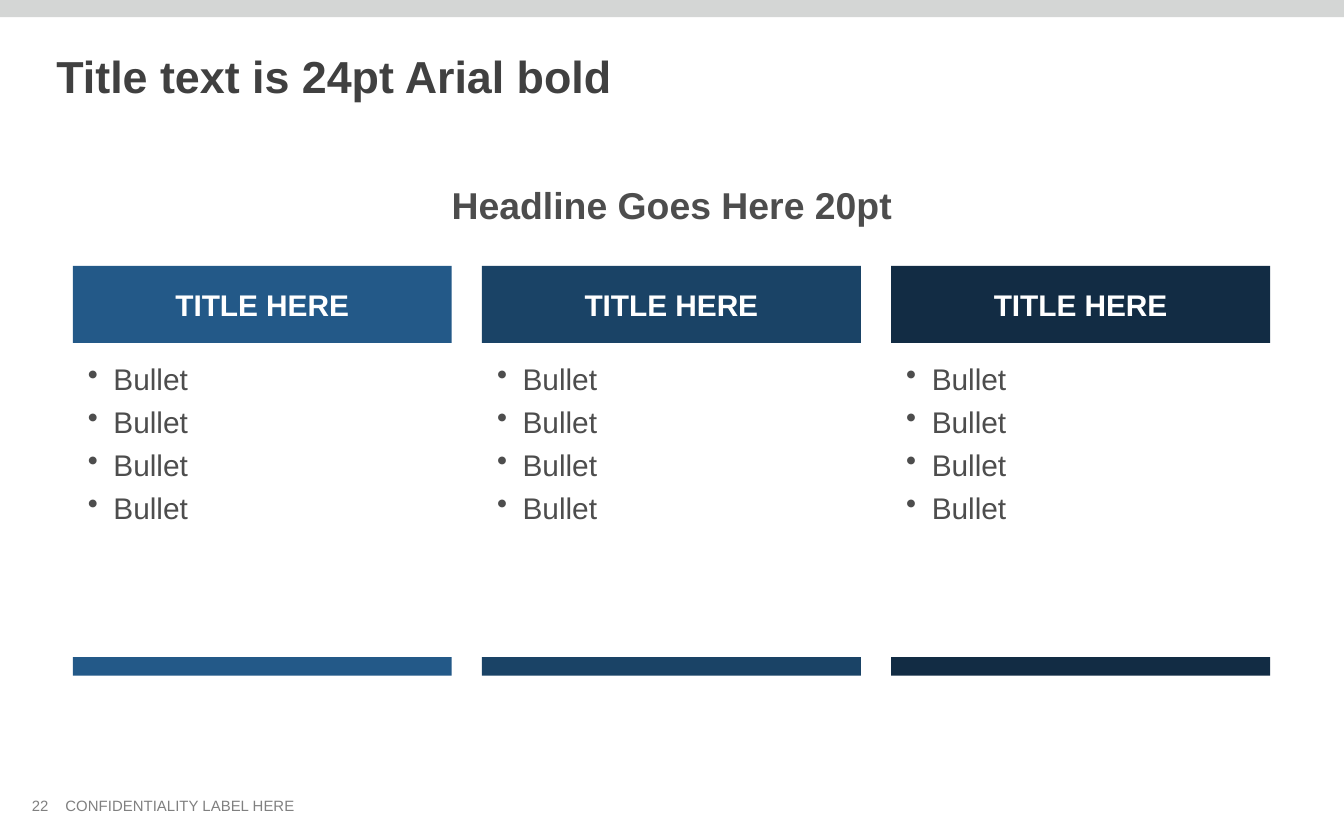
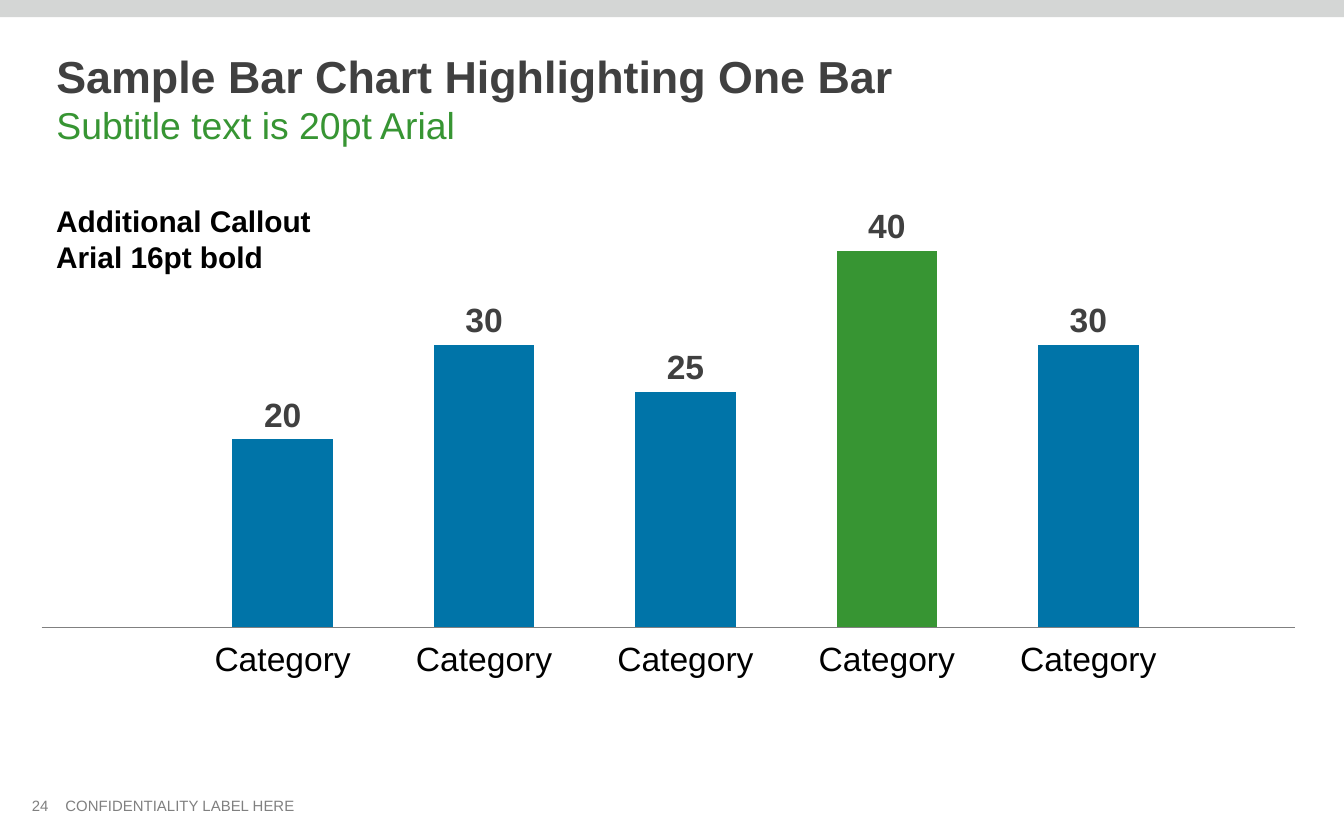
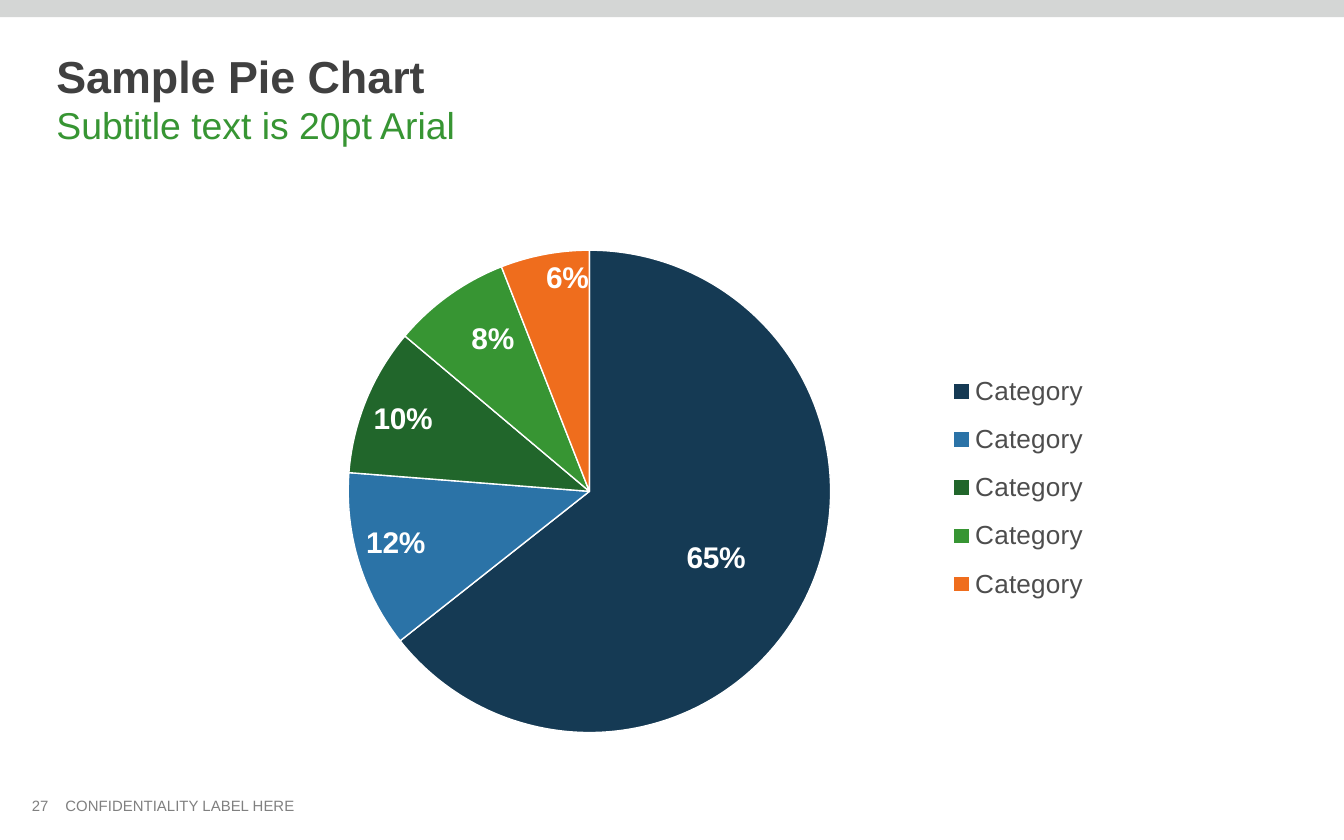
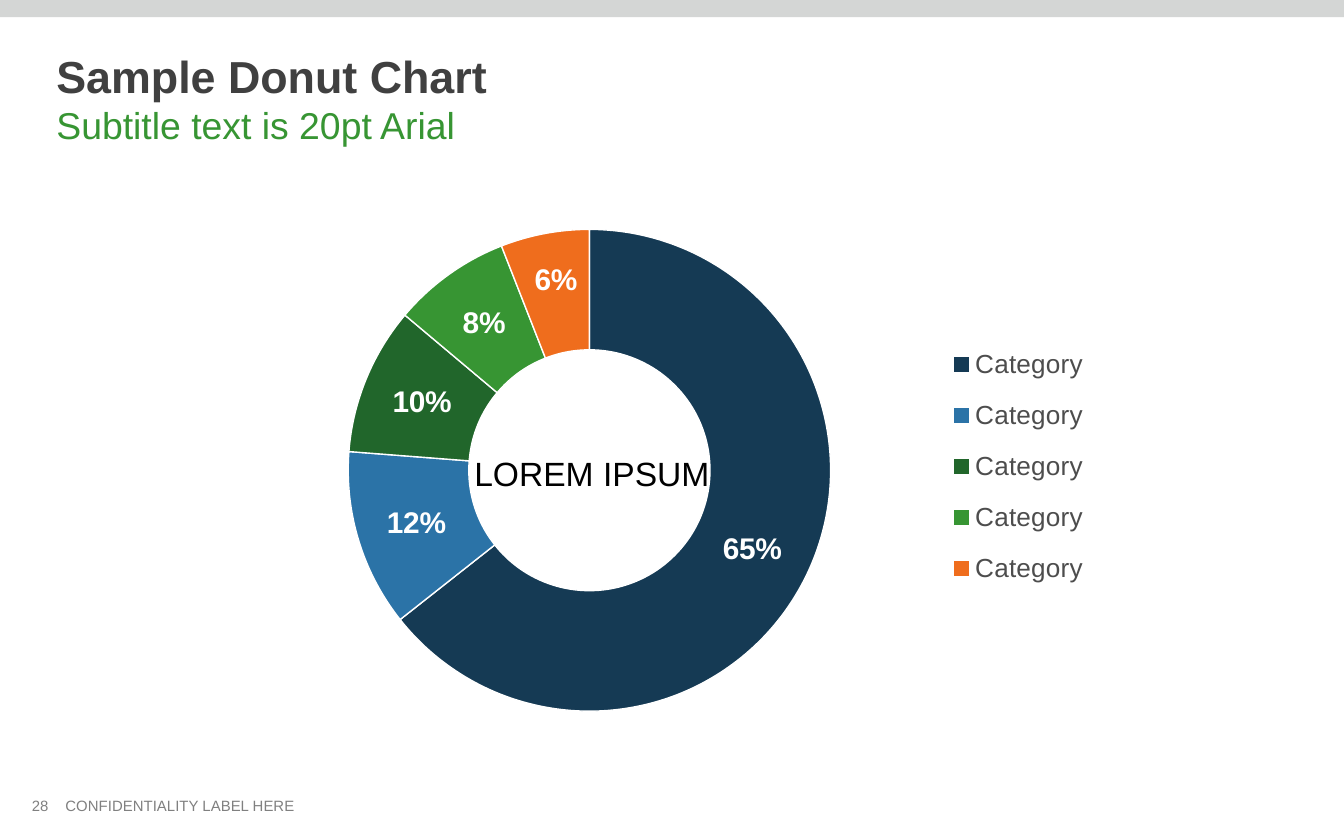
from copy import deepcopy

from lxml import etree
from pptx import Presentation
from pptx.chart.data import CategoryChartData
from pptx.dml.color import RGBColor
from pptx.enum import chart as ch, shapes, text
from pptx.oxml.ns import qn
from pptx.util import Pt

# Colours
BAND = RGBColor(0xD4, 0xD6, 0xD5)
TITLE = RGBColor(0x40, 0x40, 0x40)
BODY = RGBColor(0x4D, 0x4D, 0x4D)
FOOTER = RGBColor(0x80, 0x80, 0x80)
BLACK = RGBColor(0, 0, 0)
WHITE = RGBColor(0xFF, 0xFF, 0xFF)
GREEN = RGBColor(0x37, 0x95, 0x33)
BAR_BLUE = RGBColor(0x00, 0x74, 0xA8)
COLUMN_BLUES = [
    RGBColor(0x23, 0x59, 0x88),
    RGBColor(0x1A, 0x43, 0x66),
    RGBColor(0x12, 0x2C, 0x44),
]
SLICES = [
    RGBColor(0x15, 0x3A, 0x54),
    RGBColor(0x2B, 0x73, 0xA7),
    RGBColor(0x21, 0x66, 0x2B),
    GREEN,
    RGBColor(0xEF, 0x6D, 0x1D),
]

FONT = "Arial"
TITLE_AND_CONTENT, TITLE_ONLY = 1, 5
CATEGORIES = ["Category"] * 5
SHARES = [65, 12, 10, 8, 6]
SUBTITLE = "Subtitle text is 20pt Arial"


# Text
def style_font(font, size, color, bold=False):
    font.name, font.size, font.bold = FONT, Pt(size), bold
    font.color.rgb = color


def add_run(p, words, size, color, bold=False):
    r = p.add_run()
    r.text = words
    style_font(r.font, size, color, bold)


def place(sp, left, top, width, height):
    sp.left, sp.top, sp.width, sp.height = Pt(left), Pt(top), Pt(width), Pt(height)


def add_text(s, box, words, size, color, bold=False, wrap=True,
             anchor=text.MSO_ANCHOR.TOP):
    tf = s.shapes.add_textbox(*map(Pt, box)).text_frame
    tf.word_wrap = wrap
    tf.vertical_anchor = anchor
    add_run(tf.paragraphs[0], words, size, color, bold)


def add_bullets(s, box, items):
    tf = s.shapes.add_textbox(*map(Pt, box)).text_frame
    tf.word_wrap = True
    for i, item in enumerate(items):
        p = tf.add_paragraph() if i else tf.paragraphs[0]
        pPr = p._p.get_or_add_pPr()
        pPr.set("marL", str(Pt(13.7)))
        pPr.set("indent", str(-Pt(13.7)))
        etree.SubElement(pPr, qn("a:buChar")).set("char", "•")
        p.space_before = Pt(3.9 if i else 0)
        add_run(p, item, 16, BODY)


# Shapes
def add_bar(s, box, color, words=""):
    sp = s.shapes.add_shape(shapes.MSO_SHAPE.RECTANGLE, *map(Pt, box))
    sp.shadow.inherit = False
    sp.fill.solid()
    sp.fill.fore_color.rgb = color
    sp.line.fill.background()
    if words:
        tf = sp.text_frame
        tf.vertical_anchor = text.MSO_ANCHOR.MIDDLE
        tf.paragraphs[0].alignment = text.PP_ALIGN.CENTER
        add_run(tf.paragraphs[0], words, 16, WHITE, True)


def add_rule(s, left, right, y):
    line = s.shapes.add_connector(shapes.MSO_CONNECTOR.STRAIGHT,
                                  Pt(left), Pt(y), Pt(right), Pt(y))
    line.line.color.rgb = FOOTER
    line.line.width = Pt(0.75)
    etree.SubElement(line._element.spPr, qn("a:effectLst"))


# Frame shared by all slides
def add_slide(prs, number, title, subtitle="", layout=TITLE_ONLY):
    s = prs.slides.add_slide(prs.slide_layouts[layout])
    add_bar(s, (0, 0, 720, 9.2), BAND)
    place(s.shapes.title, 23, 22.5, 671, 36)
    tf = s.shapes.title.text_frame
    tf.auto_size = text.MSO_AUTO_SIZE.NONE
    tf.vertical_anchor = text.MSO_ANCHOR.TOP
    p = tf.paragraphs[0]
    p.alignment = text.PP_ALIGN.LEFT
    add_run(p, title, 24, TITLE, True)
    if subtitle:
        p.add_line_break()
        add_run(p, subtitle, 20, GREEN)
    add_text(s, (28, 423, 139, 17), "CONFIDENTIALITY LABEL HERE", 8, FOOTER,
             wrap=False)
    add_text(s, (10, 423, 26, 17), number, 8, FOOTER,
             anchor=text.MSO_ANCHOR.MIDDLE)
    return s


# Charts
def add_chart(s, kind, left, top, values):
    data = CategoryChartData()
    data.categories = CATEGORIES
    data.add_series("Series 1", values)
    chart = s.shapes.add_chart(kind, Pt(left), Pt(top), Pt(643), Pt(330.5),
                               data).chart
    chart.has_title = False
    chart.has_legend = False
    style_font(chart.font, 18, BLACK)
    return chart


def manual_layout(x, y, w=None, h=None, inner=False):
    """Layout element in fractions of the chart; without w and h an offset."""
    layout = etree.Element(qn("c:layout"))
    manual = etree.SubElement(layout, qn("c:manualLayout"))
    settings = [("x", x), ("y", y)]
    if w:
        settings = [("xMode", "edge"), ("yMode", "edge"), *settings,
                    ("w", w), ("h", h)]
    if inner:
        settings.insert(0, ("layoutTarget", "inner"))
    for name, value in settings:
        etree.SubElement(manual, qn("c:" + name)).set("val", str(value))
    return layout


def set_plot_area(chart, *area):
    plot_area = chart._chartSpace.find(".//" + qn("c:plotArea"))
    for old in plot_area.findall(qn("c:layout")):
        plot_area.remove(old)
    plot_area.insert(0, manual_layout(*area, inner=True))


def paint_points(series, colors):
    for i, color in enumerate(colors):
        fill = series.points[i].format.fill
        fill.solid()
        fill.fore_color.rgb = color


def shift_labels(labels, offsets):
    """Move single labels, keeping the format of the whole set."""
    shared = [e for e in labels._element if e.tag != qn("c:showLeaderLines")]
    for n, (i, offset) in enumerate(offsets.items()):
        label = etree.Element(qn("c:dLbl"))
        etree.SubElement(label, qn("c:idx")).set("val", str(i))
        label.append(manual_layout(*offset))
        label.extend(deepcopy(e) for e in shared)
        labels._element.insert(n, label)


def add_share_chart(s, kind, plot_y, legend_y, legend_h, offsets, position=None):
    chart = add_chart(s, kind, 102, 122.5, SHARES)
    set_plot_area(chart, 0.091, plot_y, 0.483, 0.782)
    chart.plots[0].vary_by_categories = True
    series = chart.plots[0].series[0]
    paint_points(series, SLICES)
    for i in range(len(SLICES)):
        line = series.points[i].format.line
        line.color.rgb = WHITE
        line.width = Pt(0.75)

    labels = series.data_labels
    labels.show_value = True
    labels.number_format = '0"%"'
    labels.number_format_is_linked = False
    style_font(labels.font, 16, WHITE, True)
    if position is not None:
        labels.position = position
    shift_labels(labels, offsets)

    chart.has_legend = True
    legend = chart.legend
    legend.position = ch.XL_LEGEND_POSITION.RIGHT
    legend.include_in_layout = False
    style_font(legend.font, 14, BODY)
    for old in legend._element.findall(qn("c:layout")):
        legend._element.remove(old)
    legend._element.find(qn("c:legendPos")).addnext(
        manual_layout(0.625, legend_y, 0.13, legend_h))
    return chart


# Slides
def columns_slide(prs):
    s = add_slide(prs, "22", "Title text is 24pt Arial bold",
                  layout=TITLE_AND_CONTENT)
    headline = s.placeholders[1]
    place(headline, 129.6, 94, 460.8, 32)
    tf = headline.text_frame
    tf.auto_size = text.MSO_AUTO_SIZE.NONE
    p = tf.paragraphs[0]
    pPr = p._p.get_or_add_pPr()
    pPr.set("marL", "0")
    pPr.set("indent", "0")
    etree.SubElement(pPr, qn("a:buNone"))
    p.alignment = text.PP_ALIGN.CENTER
    p.space_before = Pt(0)
    add_run(p, "Headline Goes Here 20pt", 20, BODY, True)

    for i, color in enumerate(COLUMN_BLUES):
        left = 39 + 219.2 * i
        add_bar(s, (left, 142.4, 203, 41.3), color, "TITLE HERE")
        add_bar(s, (left, 352, 203, 10), color)
        add_bullets(s, (left + 1, 189.6, 201, 168), ["Bullet"] * 4)


def bar_slide(prs):
    s = add_slide(prs, "24", "Sample Bar Chart Highlighting One Bar", SUBTITLE)
    chart = add_chart(s, ch.XL_CHART_TYPE.COLUMN_CLUSTERED, 39, 77.8,
                      [20, 30, 25, 40, 30])
    set_plot_area(chart, 0.091, 0.095, 0.839, 0.687)
    plot = chart.plots[0]
    plot.gap_width = 100
    plot.vary_by_categories = False
    series = plot.series[0]
    paint_points(series, [BAR_BLUE] * 3 + [GREEN, BAR_BLUE])
    labels = series.data_labels
    labels.show_value = True
    labels.position = ch.XL_LABEL_POSITION.OUTSIDE_END
    style_font(labels.font, 18, TITLE, True)
    chart.category_axis.format.line.fill.background()
    axis = chart.value_axis
    axis.minimum_scale, axis.maximum_scale = 0, 45
    axis.has_major_gridlines = False
    axis.visible = False

    add_rule(s, 22.3, 694, 336.2)
    add_text(s, (23, 105, 170, 47), "Additional Callout Arial 16pt bold", 16,
             BLACK, True)


def pie_slide(prs):
    s = add_slide(prs, "27", "Sample Pie Chart", SUBTITLE)
    add_share_chart(s, ch.XL_CHART_TYPE.PIE, 0.035, 0.21, 0.42,
                    {0: (-0.045, -0.03), 3: (0.015, 0.035)},
                    ch.XL_LABEL_POSITION.INSIDE_END)


def donut_slide(prs):
    s = add_slide(prs, "28", "Sample Donut Chart", SUBTITLE)
    chart = add_share_chart(s, ch.XL_CHART_TYPE.DOUGHNUT, 0, 0.16, 0.45,
                            {4: (0, -0.02)})
    hole = chart._chartSpace.find(".//" + qn("c:holeSize"))
    hole.set("val", "65")
    add_text(s, (247, 239, 142, 29), "LOREM IPSUM", 18, BLACK, wrap=False)


def main():
    prs = Presentation()
    prs.slide_width, prs.slide_height = Pt(720), Pt(450)
    columns_slide(prs)
    bar_slide(prs)
    pie_slide(prs)
    donut_slide(prs)
    prs.save("out.pptx")


if __name__ == "__main__":
    main()
